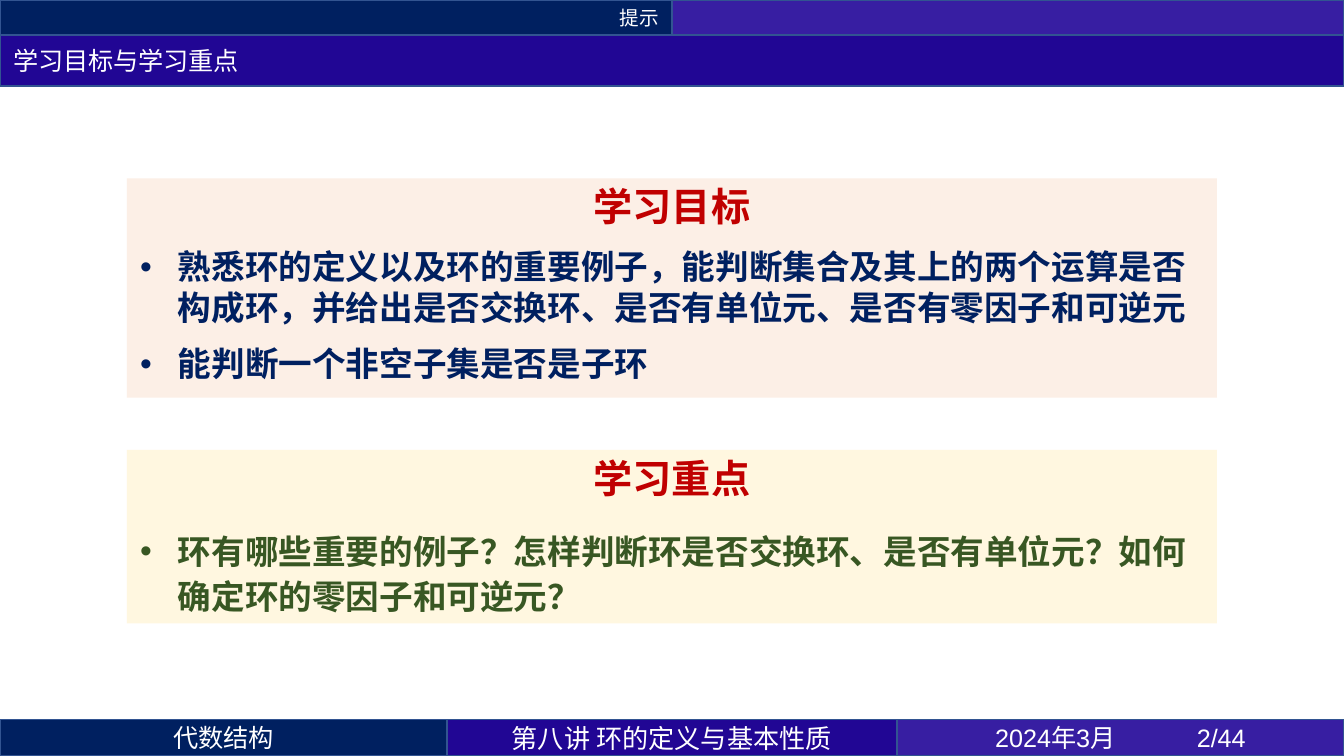
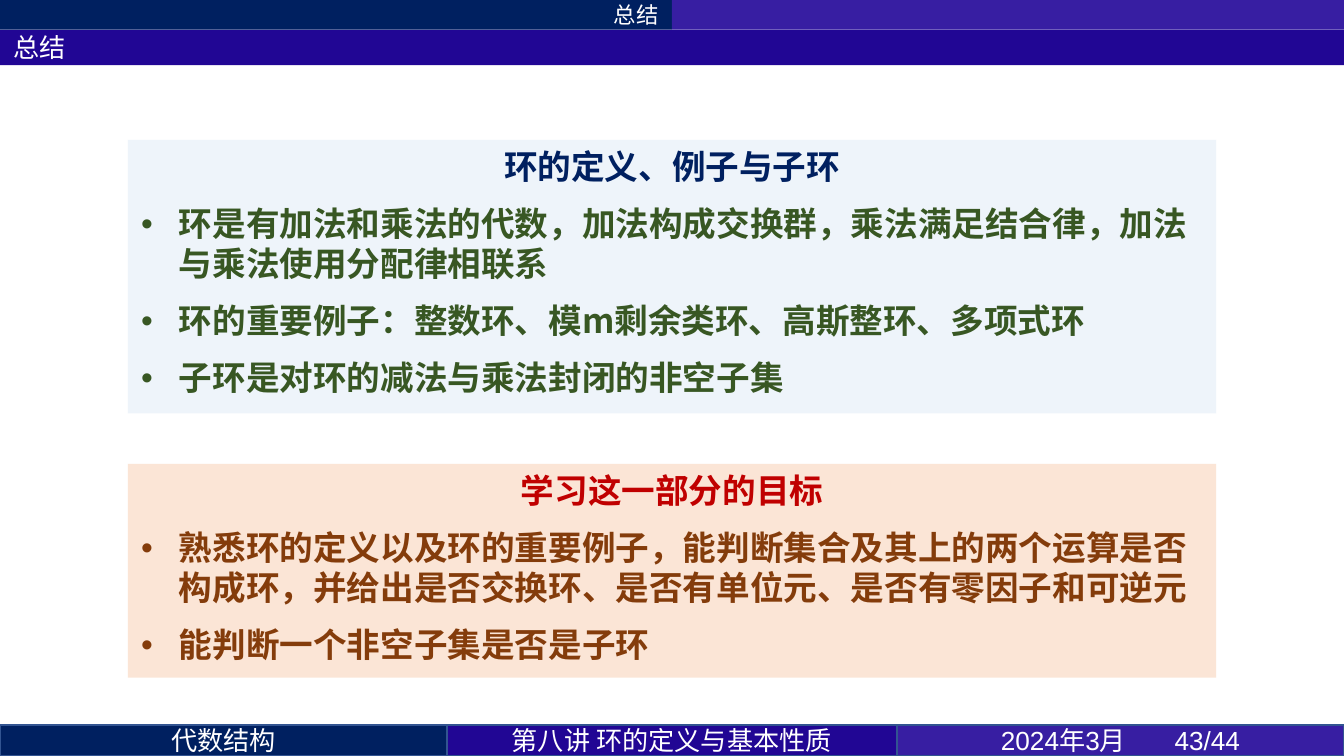
from lxml import etree
from pptx import Presentation
from pptx.dml.color import RGBColor
from pptx.enum import shapes, text
from pptx.oxml import ns
from pptx.util import Pt

WIDE, HIGH = 720, 405
HAN = "Noto Sans CJK SC"
ALIGN = text.PP_ALIGN
COLOR = {
    "navy": "002060", "blue": "210694", "violet": "371EA2", "edge": "325491",
    "white": "FFFFFF", "red": "C00000", "green": "385723", "brown": "843C0B",
    "peach": "FBE5D6", "cream": "FFF2CC", "sky": "DEEBF7",
}
COURSE = "代数结构"
TOPIC = "第八讲 环的定义与基本性质"
GOALS = [
    "熟悉环的定义以及环的重要例子，能判断集合及其上的两个运算是否构成环，并给出是否交换环、是否有单位元、是否有零因子和可逆元",
    "能判断一个非空子集是否是子环",
]
FOCUS = ["环有哪些重要的例子？怎样判断环是否交换环、是否有单位元？如何确定环的零因子和可逆元？"]
POINTS = [
    "环是有加法和乘法的代数，加法构成交换群，乘法满足结合律，加法与乘法使用分配律相联系",
    "环的重要例子：整数环、模m剩余类环、高斯整环、多项式环",
    "子环是对环的减法与乘法封闭的非空子集",
]


def hue(name):
    return RGBColor.from_string(COLOR[name])


def add_tag(node, tag, **attrs):
    return etree.SubElement(node, ns.qn(tag), attrs)


def add_box(slide, at, fill, line=False, alpha=100):
    box = slide.shapes.add_shape(shapes.MSO_SHAPE.RECTANGLE, *map(Pt, at))
    box.shadow.inherit = False
    box.fill.solid()
    box.fill.fore_color.rgb = hue(fill)
    if alpha < 100:
        tint = box.fill._xPr.find(".//" + ns.qn("a:srgbClr"))
        add_tag(tint, "a:alpha", val=str(alpha * 1000))
    if line:
        box.line.color.rgb = hue(COLOR and "edge")
        box.line.width = Pt(1)
    else:
        box.line.fill.background()
    return box


def set_text(para, words, size, color, font=HAN, align=ALIGN.LEFT, bold=False):
    para.text = words
    para.alignment = align
    for run in para.runs:
        run.font.size = Pt(size)
        run.font.bold = bold
        run.font.name = font
        run.font.color.rgb = hue(color)
        add_tag(run.font._element, "a:ea", typeface=HAN)


def add_band(slide, at, fill, words="", size=14, line=True, **look):
    box = add_box(slide, at, fill, line)
    frame = box.text_frame
    frame.vertical_anchor = text.MSO_ANCHOR.MIDDLE
    if words:
        set_text(frame.paragraphs[0], words, size, "white", **look)
    return frame.paragraphs[0]


def add_head(slide, part, title, tall, deep, sizes, line):
    half = WIDE / 2
    add_band(slide, (0, 0, half, tall), "navy", part, sizes[0], line, align=ALIGN.RIGHT)
    add_band(slide, (half, 0, half, tall), "violet", line=line)
    add_band(slide, (0, tall, WIDE, deep), "blue", title, sizes[1], line, font="Calibri")


def add_foot(slide, tall, size, date, tab):
    top = HIGH - tall
    side = 239.5
    mid = WIDE - 2 * side
    add_band(slide, (0, top, side, tall), "navy", COURSE, size, align=ALIGN.CENTER)
    add_band(slide, (side, top, mid, tall), "blue", TOPIC, align=ALIGN.CENTER)
    para = add_band(slide, (side + mid, top, side, tall), "violet", date, size,
                    font="Arial", align=ALIGN.CENTER)
    stops = add_tag(para._p.get_or_add_pPr(), "a:tabLst")
    add_tag(stops, "a:tab", pos=str(Pt(tab)), algn="l")


def set_gap(para, pitch, before):
    para.line_spacing = Pt(pitch)
    para.space_before = Pt(before)
    para.space_after = Pt(4.5)


def add_panel(slide, at, fill, alpha, head, items, ink, font=HAN,
              size=18, tint="red", face="Calibri", pitch=21.5, lead=21.5, before=4.5):
    frame = add_box(slide, at, fill, alpha=alpha).text_frame
    frame.word_wrap = True
    frame.vertical_anchor = text.MSO_ANCHOR.TOP
    frame.auto_size = text.MSO_AUTO_SIZE.SHAPE_TO_FIT_TEXT
    para = frame.paragraphs[0]
    set_text(para, head, size, tint, face, ALIGN.CENTER, True)
    set_gap(para, lead, before)
    for item in items:
        para = frame.add_paragraph()
        set_text(para, item, 18, ink, font, bold=True)
        set_gap(para, pitch, before)
        props = para._p.get_or_add_pPr()
        props.set("marL", str(Pt(20.25)))
        props.set("indent", str(-Pt(20.25)))
        add_tag(props, "a:buFont", typeface="Arial")
        add_tag(props, "a:buChar", char="•")


def add_aims(deck):
    slide = deck.slides.add_slide(deck.slide_layouts[6])
    add_head(slide, "提示", "学习目标与学习重点", 19, 27, (10.5, 13.5), True)
    add_foot(slide, 19.5, 13.5, "2024年3月 \t2/44", 108)
    look = {"size": 21, "face": HAN, "lead": 24, "font": "Arial"}
    add_panel(slide, (68, 95.5, 584, 117.5), "peach", 60, "学习目标", GOALS, "navy", **look)
    add_panel(slide, (68, 241, 584, 93), "cream", 60, "学习重点", FOCUS, "green",
              pitch=24, before=9, **look)


def add_recap(deck):
    slide = deck.slides.add_slide(deck.slide_layouts[6])
    add_panel(slide, (68.5, 75, 583, 146.5), "sky", 50, "环的定义、例子与子环",
              POINTS, "green", tint="navy")
    add_panel(slide, (68.5, 248.5, 583, 114.5), "peach", 100, "学习这一部分的目标",
              GOALS, "brown")
    add_head(slide, "总结", "总结", 16, 19, (12, 14), False)
    add_foot(slide, 16.5, 14, "2024年3月\t43/44", 93)


def main():
    deck = Presentation()
    deck.slide_width, deck.slide_height = Pt(WIDE), Pt(HIGH)
    add_aims(deck)
    add_recap(deck)
    deck.save("out.pptx")


if __name__ == "__main__":
    main()
